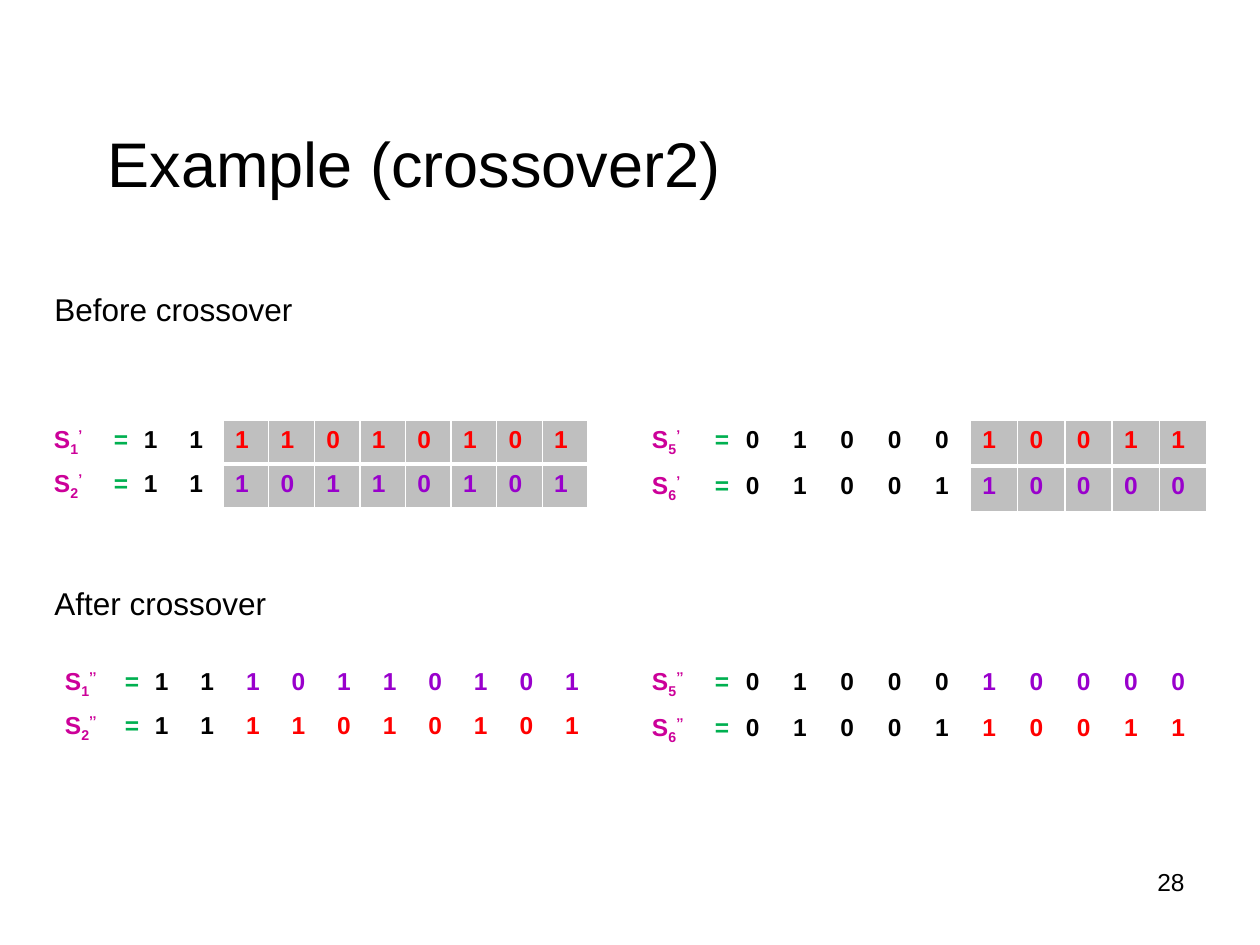
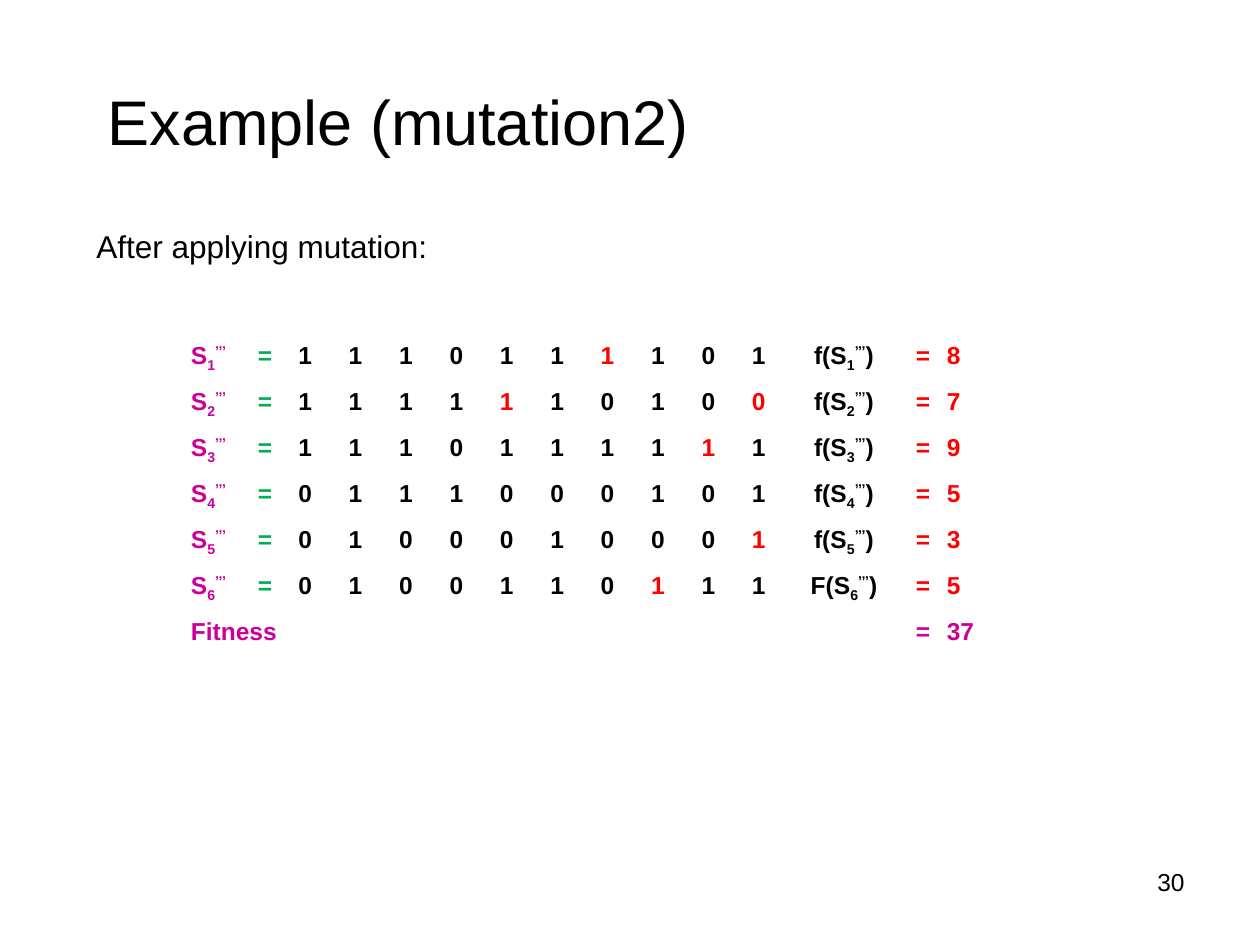
from dataclasses import dataclass

from lxml.etree import SubElement
from pptx import Presentation
from pptx.dml.color import RGBColor
from pptx.enum.text import MSO_ANCHOR, PP_ALIGN
from pptx.oxml.ns import qn
from pptx.util import Emu, Pt

FONT = "Arial"
BLACK = "000000"
WHITE = "FFFFFF"
MAGENTA = "CC0099"
GREEN = "00B050"
RED = "FF0000"
PURPLE = "9900CC"
GRAY = "BFBFBF"
SUBSCRIPT = -25
SUPERSCRIPT = 30
GENE_COUNT = 10
TITLE_ONLY = 5


@dataclass
class Entry:
    runs: tuple = ()
    color: str = BLACK
    align: PP_ALIGN = PP_ALIGN.LEFT
    fill: str = ""
    span: int = 1


def px(value):
    return Emu(round(value * 914400 / 126))


def rgb(color):
    return RGBColor.from_string(color)


def format_run(run, size, color, bold=False):
    run.font.name = FONT
    run.font.size = Pt(size)
    run.font.bold = bold
    run.font.color.rgb = rgb(color)


def add_label(slide, text, left, top, width, height, size, align=PP_ALIGN.LEFT):
    shape = slide.shapes.add_textbox(px(left), px(top), px(width), px(height))
    shape.text_frame.word_wrap = True
    paragraph = shape.text_frame.paragraphs[0]
    paragraph.text = text
    paragraph.alignment = align
    format_run(paragraph.runs[0], size, BLACK)


def add_page(presentation, title, number, top, width):
    slide = presentation.slides.add_slide(presentation.slide_layouts[TITLE_ONLY])
    shape = slide.shapes.title
    shape.left, shape.top, shape.width, shape.height = px(95), px(top), px(width), px(88)
    shape.text_frame.text = title
    shape.text_frame.vertical_anchor = MSO_ANCHOR.MIDDLE
    paragraph = shape.text_frame.paragraphs[0]
    paragraph.alignment = PP_ALIGN.LEFT
    format_run(paragraph.runs[0], 36, BLACK)
    add_label(slide, number, 903, 861, 294, 66, 14, PP_ALIGN.RIGHT)
    return slide


def plain(text, color, **options):
    return Entry(((text, 0),), color, **options)


def name_runs(number, primes):
    return ("S", 0), (str(number), SUBSCRIPT), ("’" * primes, SUPERSCRIPT)


def chromosome(number, primes, genes):
    return [Entry(name_runs(number, primes), MAGENTA), plain("=", GREEN)] + genes


def crossed_genes(bits, cut, tail_color, tail_fill):
    head = [plain(bit, BLACK) for bit in bits[:cut]]
    return head + [plain(bit, tail_color, fill=tail_fill) for bit in bits[cut:]]


def mutated_genes(bits, mutations):
    return [plain(bit, RED if position in mutations else BLACK, align=PP_ALIGN.CENTER)
            for position, bit in enumerate(bits)]


def fitness_entries(function, number, value):
    runs = ((function + "(S", 0),) + name_runs(number, 3)[1:] + ((")", 0),)
    return [Entry(runs, align=PP_ALIGN.CENTER), plain("=", RED), plain(value, RED)]


def set_borders(cell, bottom_width):
    properties = cell._tc.get_or_add_tcPr()
    for side, width in (("L", 1), ("R", 1), ("T", 1), ("B", bottom_width)):
        line = SubElement(properties, qn("a:ln" + side), w=str(Pt(width)))
        SubElement(SubElement(line, qn("a:solidFill")), qn("a:srgbClr"), val=WHITE)


def fill_cell(cell, entry, bottom_width, bottom_margin):
    set_borders(cell, bottom_width)
    cell.margin_left = cell.margin_right = px(12)
    cell.margin_top, cell.margin_bottom = px(6), px(bottom_margin)
    if entry.fill:
        cell.fill.solid()
        cell.fill.fore_color.rgb = rgb(entry.fill)
    else:
        cell.fill.background()
    paragraph = cell.text_frame.paragraphs[0]
    paragraph.alignment = entry.align
    for text, baseline in entry.runs:
        run = paragraph.add_run()
        run.text = text
        format_run(run, 14, entry.color, True)
        if baseline:
            run._r.get_or_add_rPr().set("baseline", str(baseline * 1000))
    if not entry.runs:
        SubElement(paragraph._p, qn("a:endParaRPr"), sz="1400")


def add_gene_table(slide, rows, left, top, widths, row_height, bottom_margin=6):
    name_width, equals_width, genes_width, *result_widths = widths
    columns = [name_width, equals_width]
    columns += [genes_width / GENE_COUNT] * GENE_COUNT + result_widths
    frame = slide.shapes.add_table(len(rows), len(columns), px(left), px(top),
                                   px(sum(columns)), px(row_height * len(rows)))
    table = frame.table
    table.first_row = table.horz_banding = False
    for column, width in zip(table.columns, columns):
        column.width = px(width)
    for row_index, entries in enumerate(rows):
        table.rows[row_index].height = px(row_height)
        for column_index, entry in enumerate(entries):
            cell = table.cell(row_index, column_index)
            fill_cell(cell, entry, 1 if row_index else 3, bottom_margin)
            if entry.span > 1:
                cell.merge(table.cell(row_index, column_index + entry.span - 1))


def add_crossover_pair(slide, pair, primes, cut, colors, fill, place):
    rows = [chromosome(number, primes, crossed_genes(bits, cut, color, fill))
            for (number, bits), color in zip(pair, colors)]
    add_gene_table(slide, rows, *place)


def build_crossover(presentation):
    slide = add_page(presentation, "Example (crossover2)", "28", 118, 1071)
    left_size = ((60, 30, 456), 44, 4)
    right_size = ((63, 31, 473), 46)
    before, after = (RED, PURPLE), (PURPLE, RED)
    add_crossover_pair(slide, ((1, "1111010101"), (2, "1110110101")),
                       1, 2, before, GRAY, (42, 420, *left_size))
    add_crossover_pair(slide, ((1, "1110110101"), (2, "1111010101")),
                       2, 2, after, "", (53, 662, *left_size))
    add_label(slide, "Before crossover", 42, 284, 514, 50, 18)
    add_label(slide, "After crossover", 42, 578, 514, 50, 18)
    add_crossover_pair(slide, ((5, "0100010011"), (6, "0100110000")),
                       1, 5, before, GRAY, (640, 420, *right_size))
    add_crossover_pair(slide, ((5, "0100010000"), (6, "0100110011")),
                       2, 5, after, "", (640, 662, *right_size))


def build_mutation(presentation):
    slide = add_page(presentation, "Example (mutation2)", "30", 76, 851)
    add_label(slide, "After applying mutation:", 84, 221, 1092, 108, 18)
    population = (
        ("1110111101", (6,), "f", "8"),
        ("1111110100", (4, 9), "f", "7"),
        ("1110111111", (8,), "f", "9"),
        ("0111000101", (), "f", "5"),
        ("0100010001", (9,), "f", "3"),
        ("0100110111", (7,), "F", "5"),
    )
    rows = [chromosome(number, 3, mutated_genes(bits, mutations))
            + fitness_entries(function, number, value)
            for number, (bits, mutations, function, value) in enumerate(population, 1)]
    total = [plain("Fitness", MAGENTA, span=3)] + [Entry()] * (GENE_COUNT + 2)
    rows.append(total + [plain("=", MAGENTA), plain("37", MAGENTA)])
    add_gene_table(slide, rows, 179, 336, (67, 34, 504, 120, 31, 53), 46)


def main():
    presentation = Presentation()
    presentation.slide_width, presentation.slide_height = px(1260), px(945)
    build_crossover(presentation)
    build_mutation(presentation)
    presentation.save("out.pptx")


if __name__ == "__main__":
    main()
